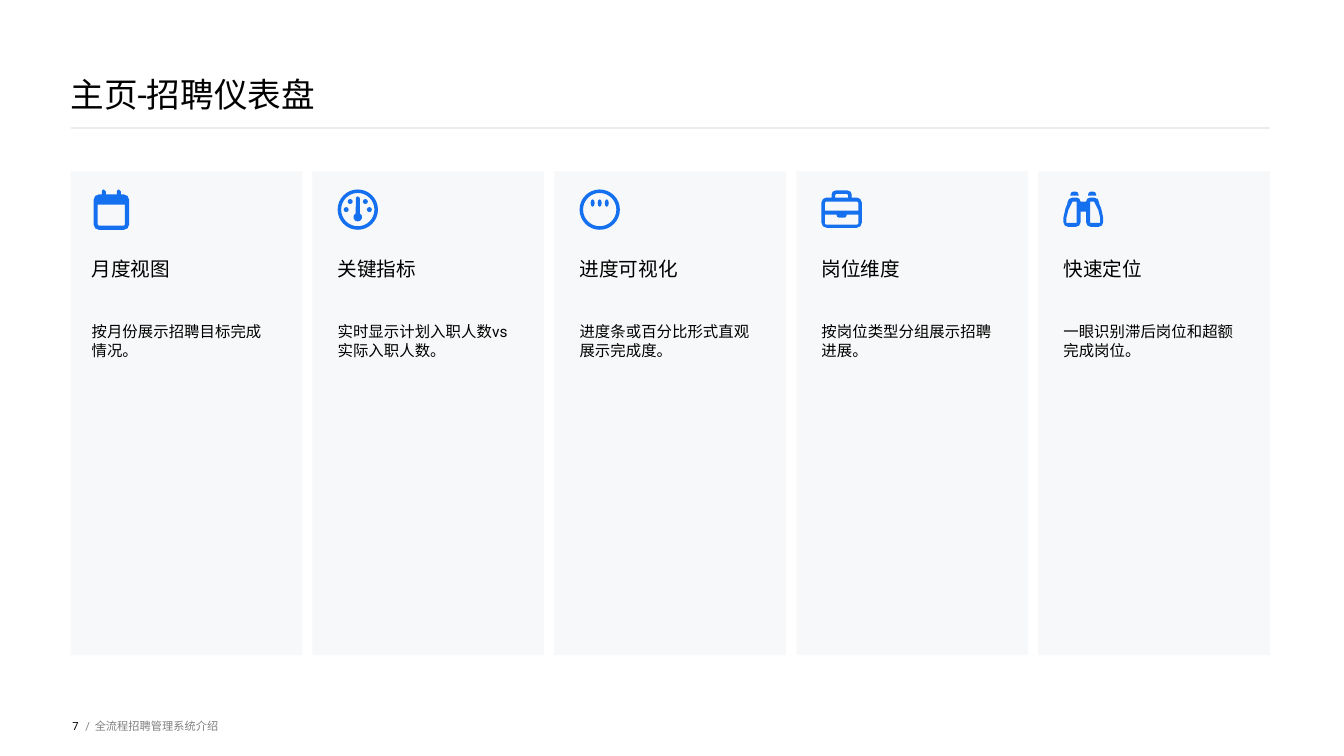
from dataclasses import dataclass
from math import ceil, cos, radians, sin, tan

from lxml.etree import SubElement
from pptx import Presentation
from pptx.dml.color import RGBColor
from pptx.enum.shapes import MSO_CONNECTOR as Connector, MSO_SHAPE as Preset
from pptx.enum.text import MSO_ANCHOR as Anchor, PP_ALIGN as Align
from pptx.oxml.ns import qn
from pptx.util import Inches, Pt


@dataclass(frozen=True)
class Theme:
    font: str = "Roboto"
    ink: str = "000000"
    muted: str = "808080"
    rule: str = "EAECF0"
    card: str = "0E2841"
    card_opacity: int = 3
    accent: str = "1570EF"
    title_size: int = 24
    heading_size: int = 14
    body_size: int = 11
    footer_size: int = 8


# Icon outlines are in hundredths of an inch; contours inside others cut holes.
# A point is (x, y, is_control); two control points precede the end of a curve.
def polygon(*corners):
    return [(x, y, False) for x, y in corners]


def arc(center_x, center_y, radius_x, radius_y, start, end):
    """Elliptical arc as cubic curves, clockwise on the slide, angles in degrees."""
    if not radius_x:
        return polygon((center_x, center_y))
    count = ceil((end - start) / 90)
    step = radians(end - start) / count
    reach = 4 / 3 * tan(step / 4)

    def at(angle, pull=0):
        return (center_x + radius_x * (cos(angle) - pull * sin(angle)),
                center_y + radius_y * (sin(angle) + pull * cos(angle)), pull != 0)

    points = [at(radians(start))]
    for index in range(count):
        angle = radians(start) + index * step
        points += [at(angle, reach), at(angle + step, -reach), at(angle + step)]
    return points


def ellipse(center_x, center_y, radius_x, radius_y=None):
    return arc(center_x, center_y, radius_x, radius_y or radius_x, 0, 360)


def rounded_box(left, top, right, bottom, upper=0, lower=0):
    """Rectangle with one radius for the upper and one for the lower corners."""
    return (arc(left + upper, top + upper, upper, upper, 180, 270)
            + arc(right - upper, top + upper, upper, upper, 270, 360)
            + arc(right - lower, bottom - lower, lower, lower, 0, 90)
            + arc(left + lower, bottom - lower, lower, lower, 90, 180))


def mirrored(points, width=39.5):
    return [(width - x, y, control) for x, y, control in reversed(points)]


RING = [ellipse(20, 20, 20), ellipse(20, 20, 16.5)]

CALENDAR = [
    rounded_box(2, 5, 37, 40, 5, 5),
    rounded_box(6, 15, 33, 36, 0, 1),
    rounded_box(10, 0, 14, 5, 2),
    rounded_box(25, 0, 29, 5, 2),
]

GAUGE = RING + [
    arc(20, 9, 2, 2, 180, 360) + arc(20, 27.5, 4.3, 4.3, -62, 242),
    *[ellipse(x, y, 2.5) for x, y in [(8.5, 20), (12.5, 12), (27.5, 12), (31.5, 20)]],
]

PROGRESS = RING + [ellipse(x, 13.5, 2, 3.7) for x in (13, 20, 27)]

BRIEFCASE = [
    rounded_box(0, 8, 40, 38, 5, 5),
    rounded_box(3.5, 12, 36.5, 21, 1),
    rounded_box(3.5, 25, 36.5, 35, 0, 1),
    rounded_box(15, 25, 25, 28, 0, 2.5),
    rounded_box(10, 1, 30, 8, 4),
    rounded_box(13.5, 4.5, 26.5, 8, 1),
]

BARREL = (polygon((17, 22)) + arc(12.5, 32.5, 4.5, 4.5, 0, 90)
          + arc(4.5, 32.5, 4.5, 4.5, 90, 180)
          + polygon((0, 28), (2, 19), (4, 14)) + arc(9, 13, 5, 5, 180, 270)
          + arc(13, 12, 4, 4, 270, 360))
BARREL_HOLE = polygon((13, 12), (9, 12), (7.5, 15), (5, 20), (3, 28), (3, 33), (13, 33))
EYEPIECE = rounded_box(7, 2, 15, 6, 3)
BINOCULARS = [
    BARREL + mirrored(BARREL),
    BARREL_HOLE, mirrored(BARREL_HOLE),
    EYEPIECE, mirrored(EYEPIECE),
]

# Heading, description, icon, inset of the content from the card's left edge
CARDS = [
    ("月度视图", "按月份展示招聘目标完成情况。", CALENDAR, 0.21),
    ("关键指标", "实时显示计划入职人数vs实际入职人数。", GAUGE, 0.25),
    ("进度可视化", "进度条或百分比形式直观展示完成度。", PROGRESS, 0.25),
    ("岗位维度", "按岗位类型分组展示招聘进展。", BRIEFCASE, 0.25),
    ("快速定位", "一眼识别滞后岗位和超额完成岗位。", BINOCULARS, 0.25),
]
LEFT, CARD_TOP, CARD_WIDTH, CARD_HEIGHT, CARD_PITCH = 0.7, 1.7, 2.3, 4.8, 2.4


class SlideBuilder:
    def __init__(self, slide, theme):
        self.shapes = slide.shapes
        self.theme = theme

    def paint(self, shape, color):
        shape.shadow.inherit = False
        shape.line.fill.background()
        shape.fill.solid()
        shape.fill.fore_color.rgb = RGBColor.from_string(color)

    def panel(self, left, top, width, height):
        shape = self.shapes.add_shape(
            Preset.RECTANGLE, Inches(left), Inches(top), Inches(width), Inches(height))
        self.paint(shape, self.theme.card)
        color = shape._element.spPr.find(".//" + qn("a:srgbClr"))
        SubElement(color, qn("a:alpha"), val=str(self.theme.card_opacity * 1000))

    def text(self, content, left, top, width, height, size, color=None,
             anchor=Anchor.TOP, align=Align.LEFT, line_spacing=None):
        box = self.shapes.add_textbox(
            Inches(left), Inches(top), Inches(width), Inches(height))
        frame = box.text_frame
        frame.word_wrap = True
        frame.vertical_anchor = anchor
        frame.margin_left = frame.margin_right = 0
        frame.margin_top = frame.margin_bottom = 0
        paragraph = frame.paragraphs[0]
        paragraph.alignment = align
        paragraph.line_spacing = line_spacing
        run = paragraph.add_run()
        run.text = content
        run.font.name = self.theme.font
        run.font.size = Pt(size)
        run.font.color.rgb = RGBColor.from_string(color or self.theme.ink)

    def rule(self, left, top, width):
        line = self.shapes.add_connector(
            Connector.STRAIGHT, Inches(left), Inches(top), Inches(left + width), Inches(top))
        line.line.color.rgb = RGBColor.from_string(self.theme.rule)
        line.line.width = Pt(2)
        SubElement(line._element.spPr, qn("a:effectLst"))

    def icon(self, contours, left, top):
        """Draw the contours as one shape, then turn control points into curves."""
        scaled = [[(Inches(x / 100), Inches(y / 100)) for x, y, _ in contour]
                  for contour in contours]
        builder = self.shapes.build_freeform(*scaled[0][0])
        for index, contour in enumerate(scaled):
            if index:
                builder.move_to(*contour[0])
            builder.add_line_segments(contour[1:], close=True)
        shape = builder.convert_to_shape(Inches(left), Inches(top))
        self.paint(shape, self.theme.accent)
        controls = [control for contour in contours for _, _, control in contour[1:]]
        curve = None
        for line, control in zip(list(shape._element.iter(qn("a:lnTo"))), controls):
            if control and curve is None:
                curve = line
                curve.tag = qn("a:cubicBezTo")
            elif curve is not None:
                curve.append(line[0])
                line.getparent().remove(line)
                if not control:
                    curve = None

    def card(self, index, heading, description, icon, inset):
        theme = self.theme
        left = LEFT + index * CARD_PITCH
        self.panel(left, CARD_TOP, CARD_WIDTH, CARD_HEIGHT)
        self.icon(icon, left + inset, 1.88)
        self.text(heading, left + inset, 2.58, 1.8, 0.5, theme.heading_size,
                  line_spacing=0.9)
        self.text(description, left + inset, 3.2, 1.8, 3, theme.body_size)

    def footer(self, number, label):
        size, muted = self.theme.footer_size, self.theme.muted
        self.text(number, 0.47, 6.9, 0.31, 0.6, size, None, Anchor.MIDDLE, Align.RIGHT)
        self.text(" /", 0.82, 6.91, 0.12, 0.59, size, muted, Anchor.MIDDLE)
        self.text(label, 0.94, 6.9, 8.61, 0.6, size, muted, Anchor.MIDDLE)


def main():
    presentation = Presentation()
    presentation.slide_width = Inches(40 / 3)
    presentation.slide_height = Inches(7.5)
    slide = presentation.slides.add_slide(presentation.slide_layouts[6])
    builder = SlideBuilder(slide, Theme())
    builder.text("主页-招聘仪表盘", LEFT, 0, 11.94, 1.13, builder.theme.title_size,
                 anchor=Anchor.BOTTOM)
    builder.rule(LEFT, 1.27, 11.9)
    for index, card in enumerate(CARDS):
        builder.card(index, *card)
    builder.footer("7", "全流程招聘管理系统介绍")
    presentation.save("out.pptx")


if __name__ == "__main__":
    main()
